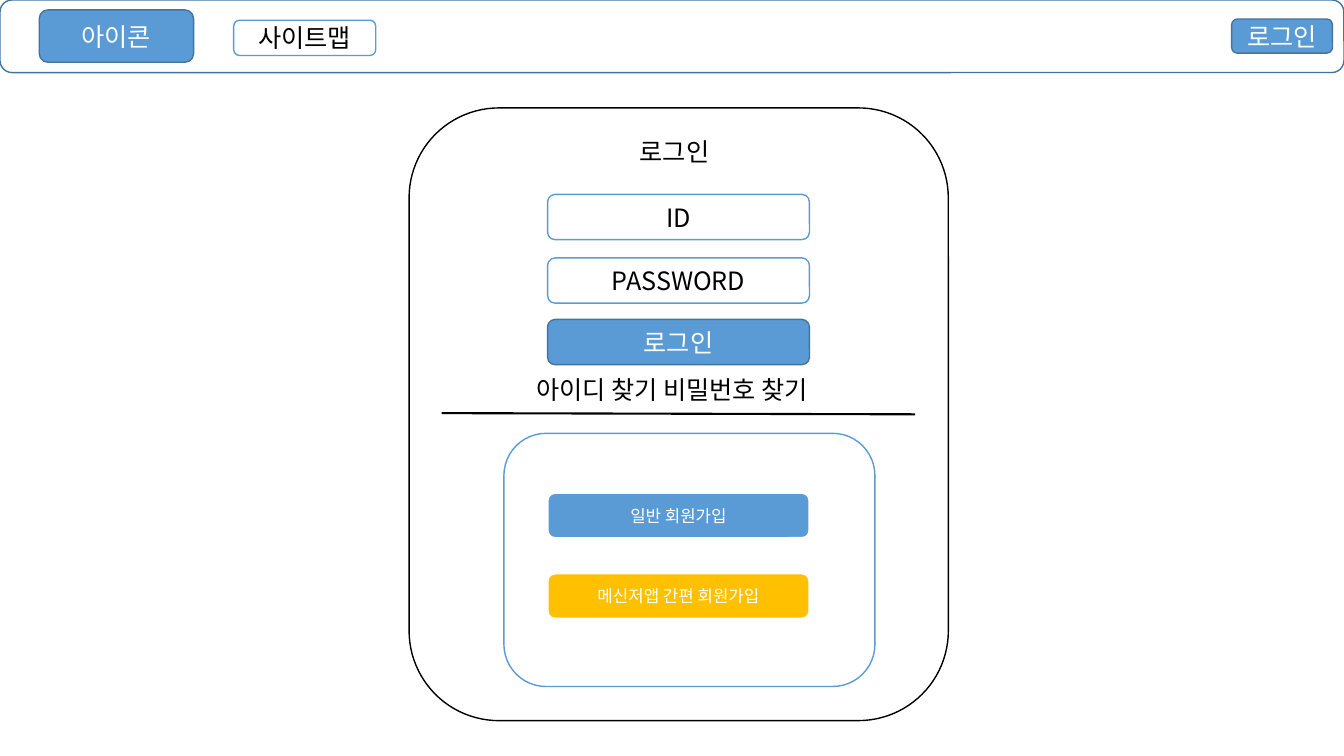
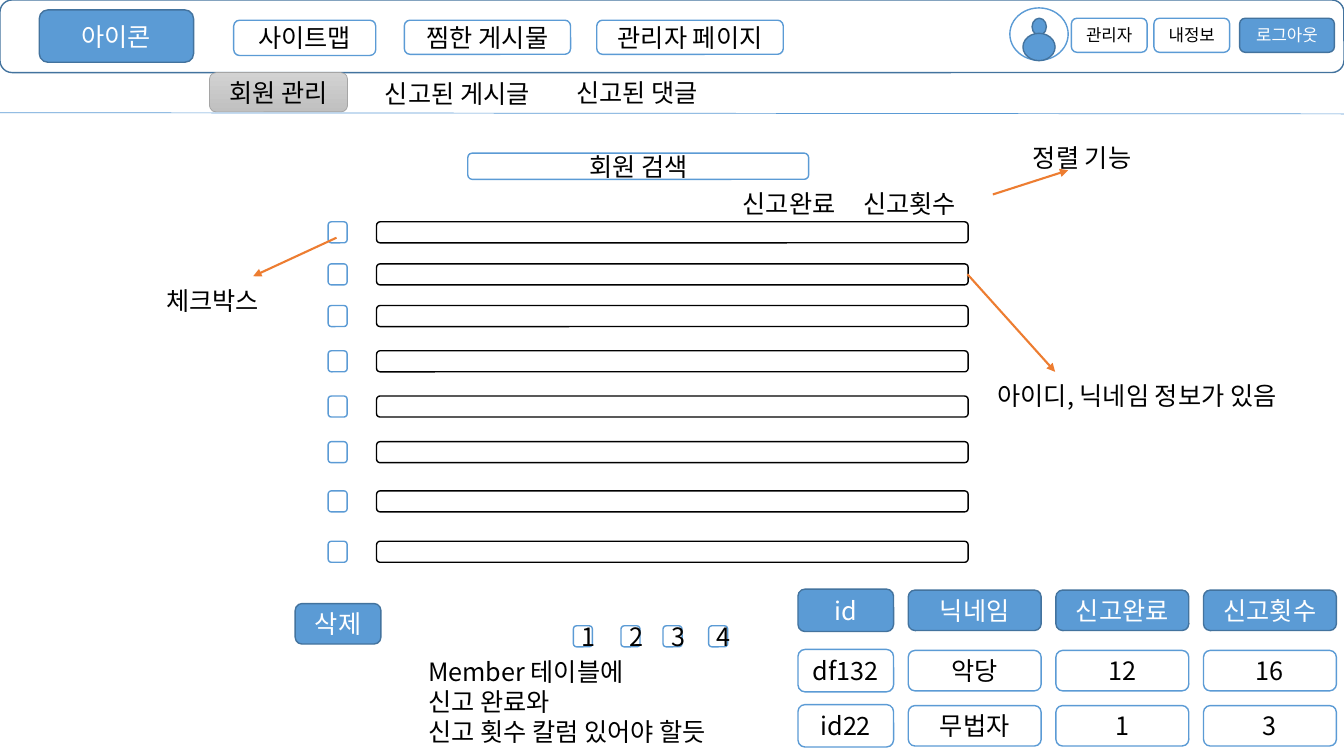
"""Build two wireframe slides: a login page and a member administration page."""
from dataclasses import dataclass

from lxml import etree
from pptx import Presentation
from pptx import util as u
from pptx.dml.color import RGBColor
from pptx.enum import shapes, text
from pptx.oxml.ns import qn


@dataclass(frozen=True)
class Theme:
    font: str = "Noto Sans CJK KR"
    white: str = "FFFFFF"
    black: str = "000000"
    blue: str = "5B9BD5"
    navy: str = "43739E"
    gold: str = "FFC000"
    orange: str = "ED7D31"
    gray: str = "A5A5A5"
    tab_top: str = "D2D2D2"
    tab_bottom: str = "C0C0C0"
    body: int = 18
    small: int = 12


theme = Theme()
ROUND = shapes.MSO_SHAPE.ROUNDED_RECTANGLE
OVAL = shapes.MSO_SHAPE.OVAL
FIELD = (theme.white, theme.blue, theme.black)
BUTTON = (theme.blue, theme.navy, theme.white)
OUTLINE = (theme.white, theme.black, theme.black)
SIGNUP = (theme.blue, theme.white, theme.white)
MESSENGER = (theme.gold, theme.white, theme.white)


def write(shape, words, size=theme.body, color=theme.black, align=text.PP_ALIGN.LEFT):
    frame = shape.text_frame
    frame.text = words
    for para in frame.paragraphs:
        para.alignment = align
        para.font.size = u.Pt(size)
        para.font.name = theme.font
        para.font.color.rgb = RGBColor.from_string(color)
        east_asian = etree.SubElement(para.font._rPr, qn("a:ea"))
        east_asian.set("typeface", theme.font)


def box(page, place, style, words="", size=theme.body, kind=ROUND, weight=1):
    fill, line, color = style
    shape = page.shapes.add_shape(kind, *map(u.Cm, place))
    shape.shadow.inherit = False
    shape.fill.solid()
    shape.fill.fore_color.rgb = RGBColor.from_string(fill)
    shape.line.color.rgb = RGBColor.from_string(line)
    shape.line.width = u.Pt(weight)
    if words:
        write(shape, words, size, color, text.PP_ALIGN.CENTER)
    return shape


deck = Presentation()
deck.slide_width, deck.slide_height = u.Cm(33.87), u.Cm(19.05)
login, members = [deck.slides.add_slide(deck.slide_layouts[5]) for _ in range(2)]

for page in (login, members):
    box(page, (0, 0, 33.87, 1.83), (theme.white, theme.navy, theme.black))
    box(page, (0.99, 0.25, 3.89, 1.32), BUTTON, "아이콘")
    box(page, (5.89, 0.51, 3.58, 0.89), FIELD, "사이트맵")

box(login, (31.04, 0.48, 2.54, 0.86), BUTTON, "로그인")
box(login, (10.31, 2.72, 13.59, 15.44), OUTLINE)
box(login, (12.7, 10.92, 9.35, 6.38), FIELD)
for top, style, words, size, weight in (
    (4.9, FIELD, "ID", theme.body, 1),
    (6.5, FIELD, "PASSWORD", theme.body, 1),
    (8.05, BUTTON, "로그인", theme.body, 1),
    (12.42, SIGNUP, "일반 회원가입", theme.small, 1.5),
    (14.45, MESSENGER, "메신저앱 간편 회원가입", theme.small, 1.5),
):
    box(login, (13.8, top, 6.6, 1.14), style, words, size, weight=weight)

box(members, (10.19, 0.51, 4.19, 0.86), FIELD, "찜한 게시물")
box(members, (15.04, 0.51, 4.7, 0.86), FIELD, "관리자 페이지")
for left, width, style, words in (
    (27, 1.91, FIELD, "관리자"),
    (29.08, 1.91, FIELD, "내정보"),
    (31.24, 2.39, BUTTON, "로그아웃"),
):
    box(members, (left, 0.46, width, 0.86), style, words, theme.small)
for place, style in (
    ((25.45, 0.2, 1.47, 1.32), FIELD),
    ((26.01, 0.46, 0.36, 0.43), BUTTON),
    ((25.78, 0.84, 0.81, 0.69), BUTTON),
):
    box(members, place, style, kind=OVAL)

tab = box(members, (5.28, 1.83, 3.48, 0.99), (theme.gray, theme.gray, theme.black), weight=0.5)
tab.fill.gradient()
tab.fill.gradient_angle = 270
for stop, color in zip(tab.fill.gradient_stops, (theme.tab_top, theme.tab_bottom)):
    stop.color.rgb = RGBColor.from_string(color)

box(members, (11.79, 3.86, 8.59, 0.66), FIELD, "회원 검색")
for top in (5.59, 6.65, 7.7, 8.84, 9.98, 11.13, 12.37, 13.64):
    box(members, (8.27, top, 0.48, 0.53), FIELD)
    box(members, (9.49, top, 14.91, 0.53), OUTLINE)
for number, left in enumerate((14.45, 15.65, 16.71, 17.86), 1):
    box(members, (left, 15.77, 0.48, 0.53), FIELD, str(number))
box(members, (7.44, 15.21, 2.16, 1.02), BUTTON, "삭제")

columns = ((20.11, 2.41, 1.07), (22.89, 3.35, 1.02), (26.61, 3.35, 1.02), (30.33, 3.35, 1.02))
for middle, style, record in (
    (15.38, BUTTON, ("id", "닉네임", "신고완료", "신고횟수")),
    (16.9, FIELD, ("df132", "악당", "12", "16")),
    (18.29, FIELD, ("id22", "무법자", "1", "3")),
):
    for (left, width, height), words in zip(columns, record):
        box(members, (left, middle - height / 2, width, height), style, words)

for page, place, words in (
    (login, (13.26, 9.32, 8.26, 1.02), "아이디 찾기 비밀번호 찾기"),
    (members, (9.45, 1.85, 4.6, 1.02), "신고된 게시글"),
    (members, (14.27, 1.83, 3.94, 1.02), "신고된 댓글"),
    (members, (25.78, 3.45, 3.3, 1.02), "정렬 기능"),
    (members, (18.47, 4.62, 2.95, 1.02), "신고완료"),
    (members, (21.51, 4.62, 2.95, 1.02), "신고횟수"),
    (members, (3.94, 7.06, 3.07, 1.02), "체크박스"),
    (members, (24.89, 9.47, 8.38, 1.02), "아이디, 닉네임 정보가 있음"),
    (members, (10.54, 16.41, 8.48, 2.57), "Member 테이블에\n신고 완료와\n신고 횟수 칼럼 있어야 할듯"),
):
    label = page.shapes.add_textbox(*map(u.Cm, place))
    label.text_frame.word_wrap = False
    label.text_frame.auto_size = text.MSO_AUTO_SIZE.SHAPE_TO_FIT_TEXT
    write(label, words)

for page, ends, color, weight, arrow in (
    (login, (11.13, 10.41, 23.06, 10.44), theme.black, 1.5, False),
    (members, (0, 2.84, 33.87, 2.87), theme.blue, 0.5, False),
    (members, (25.02, 4.9, 26.92, 4.29), theme.orange, 1.5, True),
    (members, (8.48, 5.99, 6.38, 6.96), theme.orange, 1.5, True),
    (members, (24.38, 6.91, 26.59, 9.37), theme.orange, 1.5, True),
):
    line = page.shapes.add_connector(shapes.MSO_CONNECTOR.STRAIGHT, *map(u.Cm, ends))
    line.line.color.rgb = RGBColor.from_string(color)
    line.line.width = u.Pt(weight)
    if arrow:
        etree.SubElement(line.line._get_or_add_ln(), qn("a:tailEnd")).set("type", "triangle")
    etree.SubElement(line._element.spPr, qn("a:effectLst"))

for page, place, words in (
    (login, (15.78, 3.3, 2.44, 1.02), "로그인"),
    (members, (5.28, 1.83, 3.48, 0.99), "회원 관리"),
):
    title = page.shapes.title
    title.left, title.top, title.width, title.height = map(u.Cm, place)
    title.text_frame.vertical_anchor = text.MSO_ANCHOR.MIDDLE
    title.text_frame.auto_size = text.MSO_AUTO_SIZE.NONE
    write(title, words, align=text.PP_ALIGN.CENTER)
    page.shapes._spTree.append(title._element)

deck.save("out.pptx")
